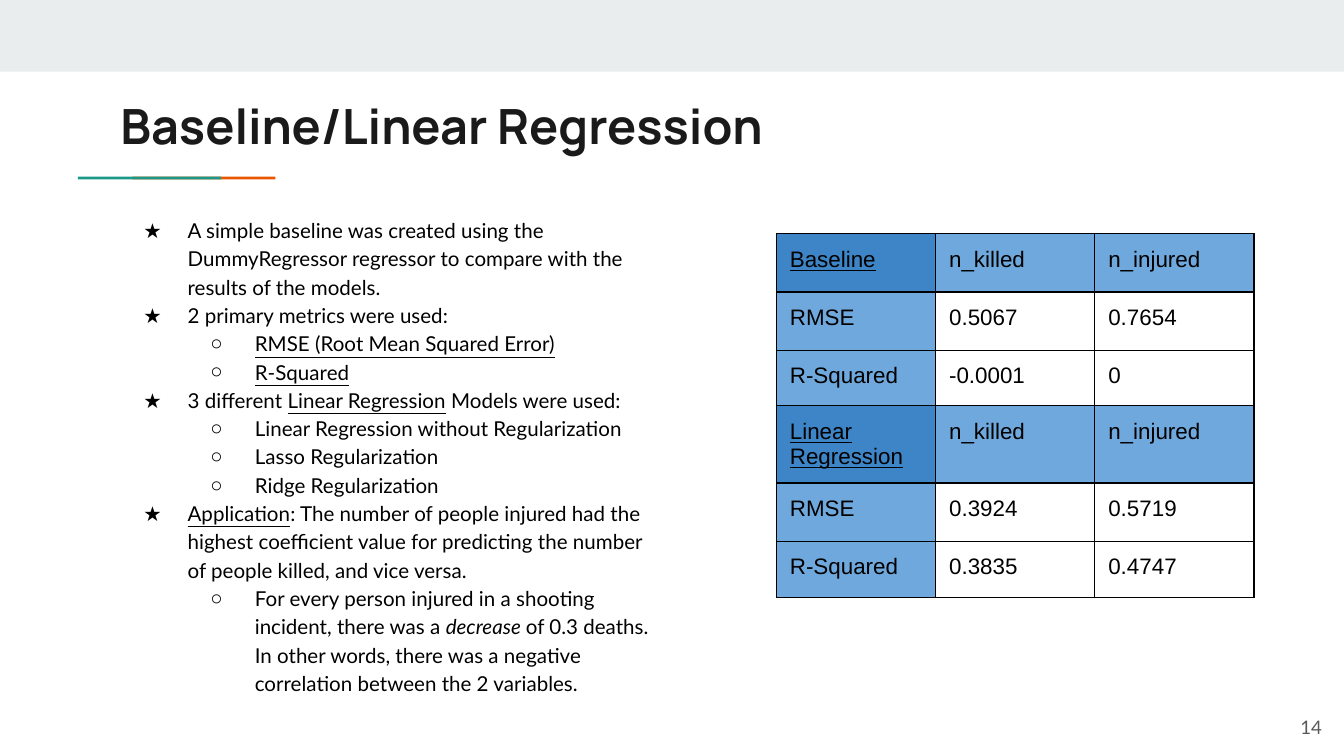
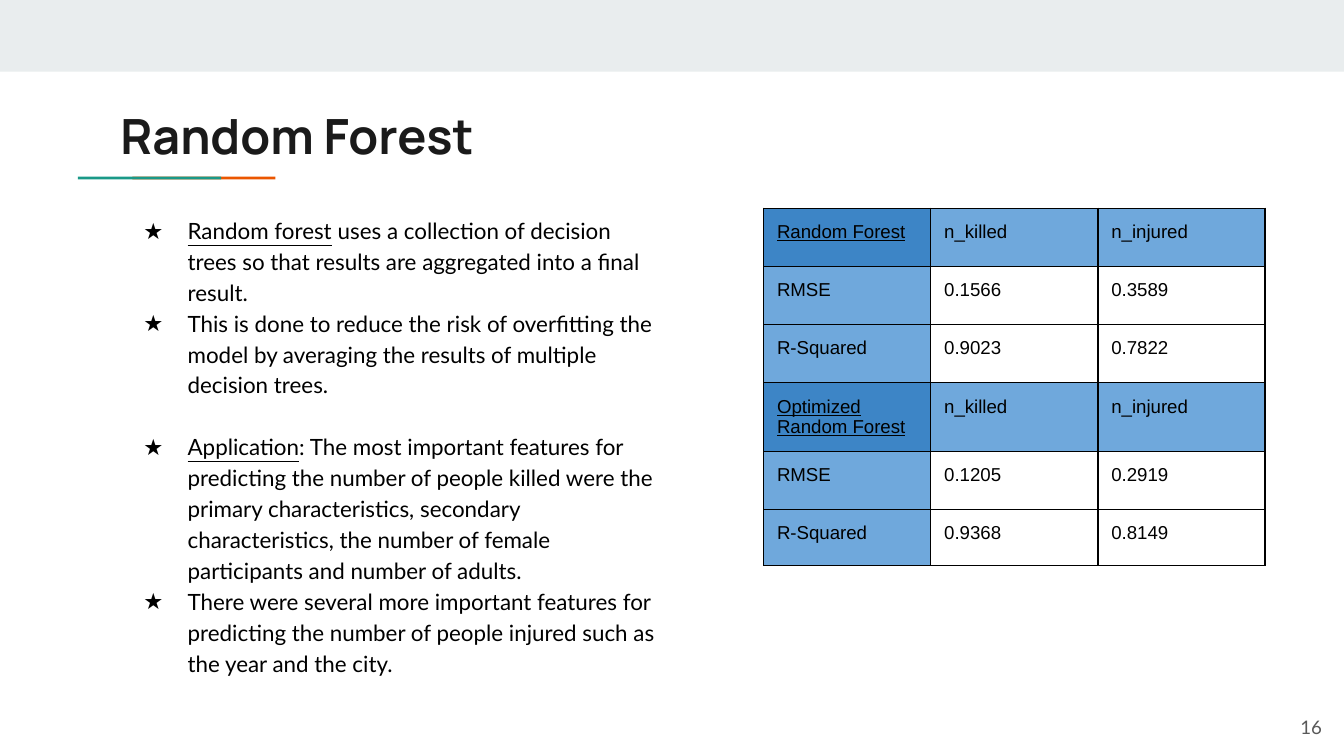
from dataclasses import dataclass

from lxml.etree import SubElement
from pptx import Presentation
from pptx.dml.color import RGBColor
from pptx.enum.shapes import MSO_SHAPE
from pptx.enum.text import MSO_ANCHOR, MSO_AUTO_SIZE, PP_ALIGN
from pptx.oxml.ns import qn
from pptx.util import Inches, Pt


@dataclass(frozen=True)
class Theme:
    band: str = "E9EDEE"
    teal: str = "1A9988"
    orange: str = "EB5600"
    title: str = "1A1A1A"
    text: str = "000000"
    number: str = "595959"
    corner: str = "3D85C6"
    header: str = "6FA8DC"
    title_size: int = 26
    number_size: int = 10
    title_font: str = "Manrope"
    body_font: str = "Lato"
    table_font: str = "Arial"


T = Theme()
U = {"underline": True}
I = {"italic": True}
METRICS = ["n_killed", "n_injured"]
BULLETS = [("★", T.body_font), ("○", T.table_font)]

# The slide is 100 columns wide; rows are as tall as columns are wide.
prs = Presentation()
prs.slide_width, prs.slide_height = Inches(10), Inches(5.625)
UNIT = prs.slide_width // 100
FRAME = {"word_wrap": True, "auto_size": MSO_AUTO_SIZE.NONE,
         **{f"margin_{side}": UNIT for side in ("left", "top", "right", "bottom")}}


def place(sp, col, row, cols, rows):
    """Put a text shape on the grid and give it the shared frame format."""
    sp.left, sp.top, sp.width, sp.height = (int(n * UNIT) for n in (col, row, cols, rows))
    for name, value in FRAME.items():
        setattr(sp.text_frame, name, value)
    return sp.text_frame


def add_runs(p, pieces, font, size, color, **style):
    """Each piece is a string or a (string, style) pair."""
    for piece in pieces:
        text, extra = (piece, {}) if isinstance(piece, str) else piece
        r = p.add_run()
        r.text = text
        r.font.color.rgb = RGBColor.from_string(color)
        for name, value in {"name": font, "size": Pt(size), **style, **extra}.items():
            setattr(r.font, name, value)


# Each list item: level, pieces, lines of space after.
# Each table: top row, then its rows of text.
pages = [
    dict(
        number="14", title="Baseline/Linear Regression", title_row=6.15,
        body_row=14.95, body_rows=37.8, body_size=11,
        items=[
            (0, ["A simple baseline was created using the DummyRegressor regressor "
                 "to compare with the results of the models."], 0),
            (0, ["2 primary metrics were used:"], 0),
            (1, [("RMSE (Root Mean Squared Error)", U)], 0),
            (1, [("R-Squared", U)], 0),
            (0, ["3 different ", ("Linear Regression", U), " Models were used:"], 0),
            (1, ["Linear Regression without Regularization"], 0),
            (1, ["Lasso Regularization"], 0),
            (1, ["Ridge Regularization"], 0),
            (0, [("Application", U), ": The number of people injured had the highest "
                 "coefficient value for predicting the number of people killed, "
                 "and vice versa."], 0),
            (1, ["For every person injured in a shooting incident, there was a ",
                 ("decrease ", I), "of 0.3 deaths. In other words, there was a "
                 "negative correlation between the 2 variables."], 0),
        ],
        table_col=57.77, cell_cols=11.85, table_size=12,
        tables=[
            (17.4, [["Baseline", *METRICS],
                    ["RMSE", "0.5067", "0.7654"],
                    ["R-Squared", "-0.0001", "0"]]),
            (30.2, [["Linear Regression", *METRICS],
                    ["RMSE", "0.3924", "0.5719"],
                    ["R-Squared", "0.3835", "0.4747"]]),
        ],
    ),
    dict(
        number="16", title="Random Forest", title_row=6.9,
        body_row=14.85, body_rows=36.4, body_size=12,
        items=[
            (0, [("Random forest", U), " uses a collection of decision trees so that "
                 "results are aggregated into a final result."], 0),
            (0, ["This is done to reduce the risk of overfitting the model by "
                 "averaging the results of multiple decision trees."], 1),
            (0, [("Application", U), ": The most important features for predicting the "
                 "number of people killed were the primary characteristics, secondary "
                 "characteristics, the number of female participants and number of "
                 "adults."], 0),
            (0, ["There were several more important features for predicting the number "
                 "of people injured such as the year and the city."], 0),
        ],
        table_col=56.82, cell_cols=12.44, table_size=10,
        tables=[
            (15.5, [["Random Forest", *METRICS],
                    ["RMSE", "0.1566", "0.3589"],
                    ["R-Squared", "0.9023", "0.7822"],
                    ["Optimized Random Forest", *METRICS],
                    ["RMSE", "0.1205", "0.2919"],
                    ["R-Squared", "0.9368", "0.8149"]]),
        ],
    ),
]

layout = prs.slide_layouts[1]
slides = [prs.slides.add_slide(layout) for _ in pages]

# Shared band and overlapping accent bars live on the layout, in place of its footers.
for ph in list(layout.placeholders)[2:]:
    ph.element.getparent().remove(ph.element)
for color, *box in ((T.band, 0, 0, 100, 5.33),
                    (T.orange, 9.85, 13.15, 10.65, 0.2),
                    (T.teal, 5.8, 13.15, 10.65, 0.2)):
    sp = slides[0].shapes.add_shape(MSO_SHAPE.RECTANGLE, *(int(n * UNIT) for n in box))
    sp.shadow.inherit = False
    sp.fill.solid()
    sp.fill.fore_color.rgb = RGBColor.from_string(color)
    sp.line.fill.background()
    layout.shapes.element.append(sp.element)

for slide, page in zip(slides, pages):
    tf = place(slide.shapes.title, 7.96, page["title_row"], 84.1, 5.9)
    tf.vertical_anchor = MSO_ANCHOR.TOP
    p = tf.paragraphs[0]
    p.alignment = PP_ALIGN.LEFT
    add_runs(p, [page["title"]], T.title_font, T.title_size, T.title, bold=True)

    size = page["body_size"]
    tf = place(slide.placeholders[1], 7.96, page["body_row"], 42, page["body_rows"])
    tf.vertical_anchor = MSO_ANCHOR.TOP
    for i, (level, pieces, gap) in enumerate(page["items"]):
        p = tf.paragraphs[0] if i == 0 else tf.add_paragraph()
        for name, value in {"level": level, "line_spacing": 1.15, "space_before": Pt(0),
                            "space_after": Pt(gap * size * 1.38)}.items():
            setattr(p, name, value)
        char, bullet_font = BULLETS[level]
        pPr = p._p.get_or_add_pPr()
        pPr.set("marL", str((level + 1) * 5 * UNIT))
        pPr.set("indent", str(int(-3.3 * UNIT)))
        SubElement(SubElement(pPr, qn("a:buClr")), qn("a:srgbClr"), val=T.text)
        SubElement(pPr, qn("a:buFont"), typeface=bullet_font)
        SubElement(pPr, qn("a:buChar"), char=char)
        add_runs(p, pieces, T.body_font, size, T.text)

    tf = place(slide.shapes.add_textbox(0, 0, 0, 0), 93.35, 51.95, 6, 4.3)
    tf.vertical_anchor = MSO_ANCHOR.MIDDLE
    p = tf.paragraphs[0]
    p.alignment = PP_ALIGN.RIGHT
    add_runs(p, [page["number"]], T.body_font, T.number_size, T.number)

    for top, rows in page["tables"]:
        box = page["table_col"], top, 3 * page["cell_cols"], 4.33 * len(rows)
        table = slide.shapes.add_table(len(rows), 3, *(int(n * UNIT) for n in box)).table
        table.first_row = table.horz_banding = False
        table.rows[len(rows) - 1].height = int(4.17 * UNIT)
        for r, row in enumerate(rows):
            is_header = row[1:] == METRICS
            for c, text in enumerate(row):
                cell = table.cell(r, c)
                for side in ("left", "top", "right", "bottom"):
                    setattr(cell, f"margin_{side}", UNIT)
                tcPr = cell._tc.get_or_add_tcPr()
                for edge in "LRTB":
                    ln = SubElement(tcPr, qn(f"a:ln{edge}"), w=str(Pt(0.75)))
                    SubElement(SubElement(ln, qn("a:solidFill")), qn("a:srgbClr"), val=T.text)
                if is_header or c == 0:
                    cell.fill.solid()
                    color = T.corner if is_header and c == 0 else T.header
                    cell.fill.fore_color.rgb = RGBColor.from_string(color)
                else:
                    cell.fill.background()
                add_runs(cell.text_frame.paragraphs[0], [text], T.table_font,
                         page["table_size"], T.text, bold=False,
                         underline=is_header and c == 0)

prs.save("out.pptx")
